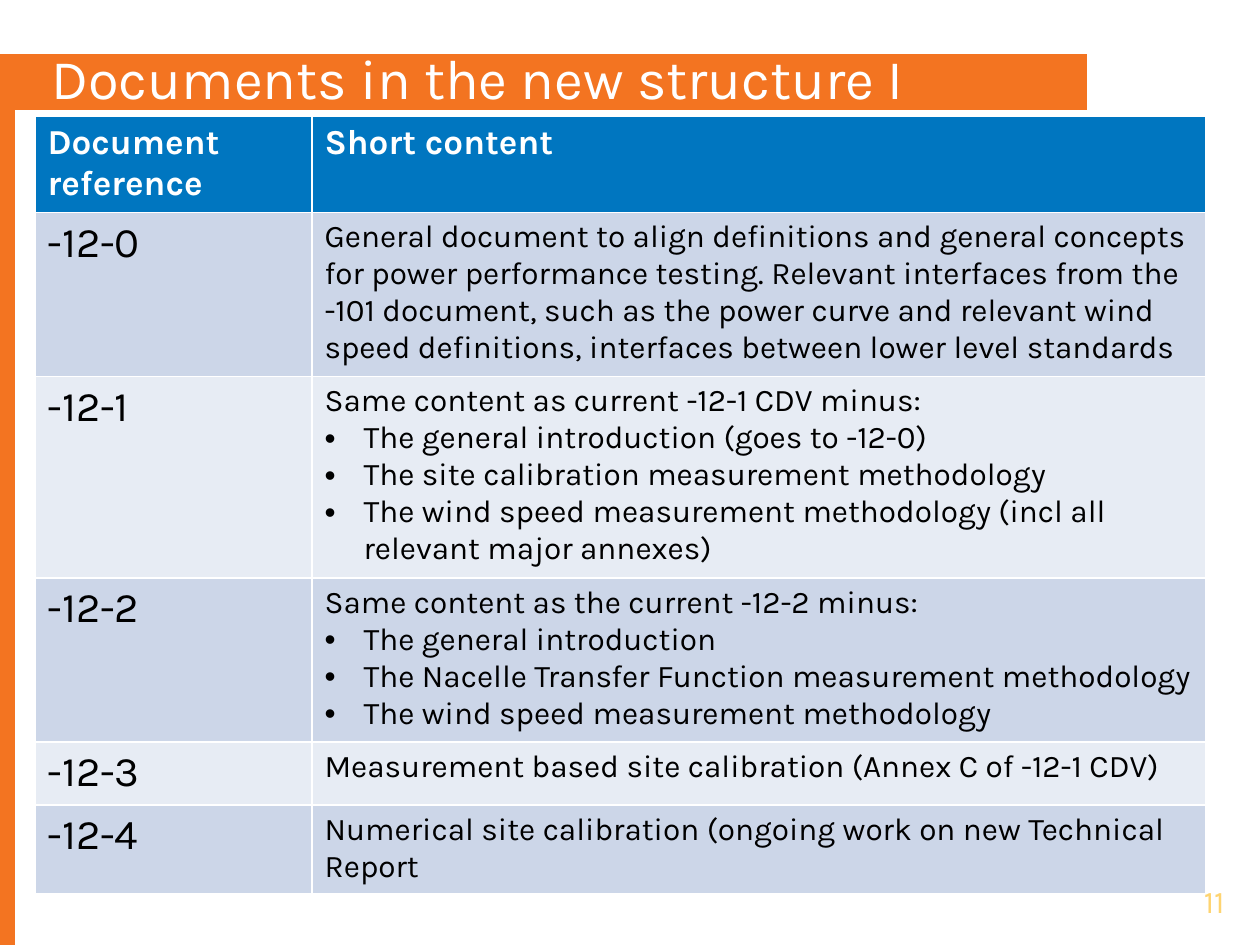
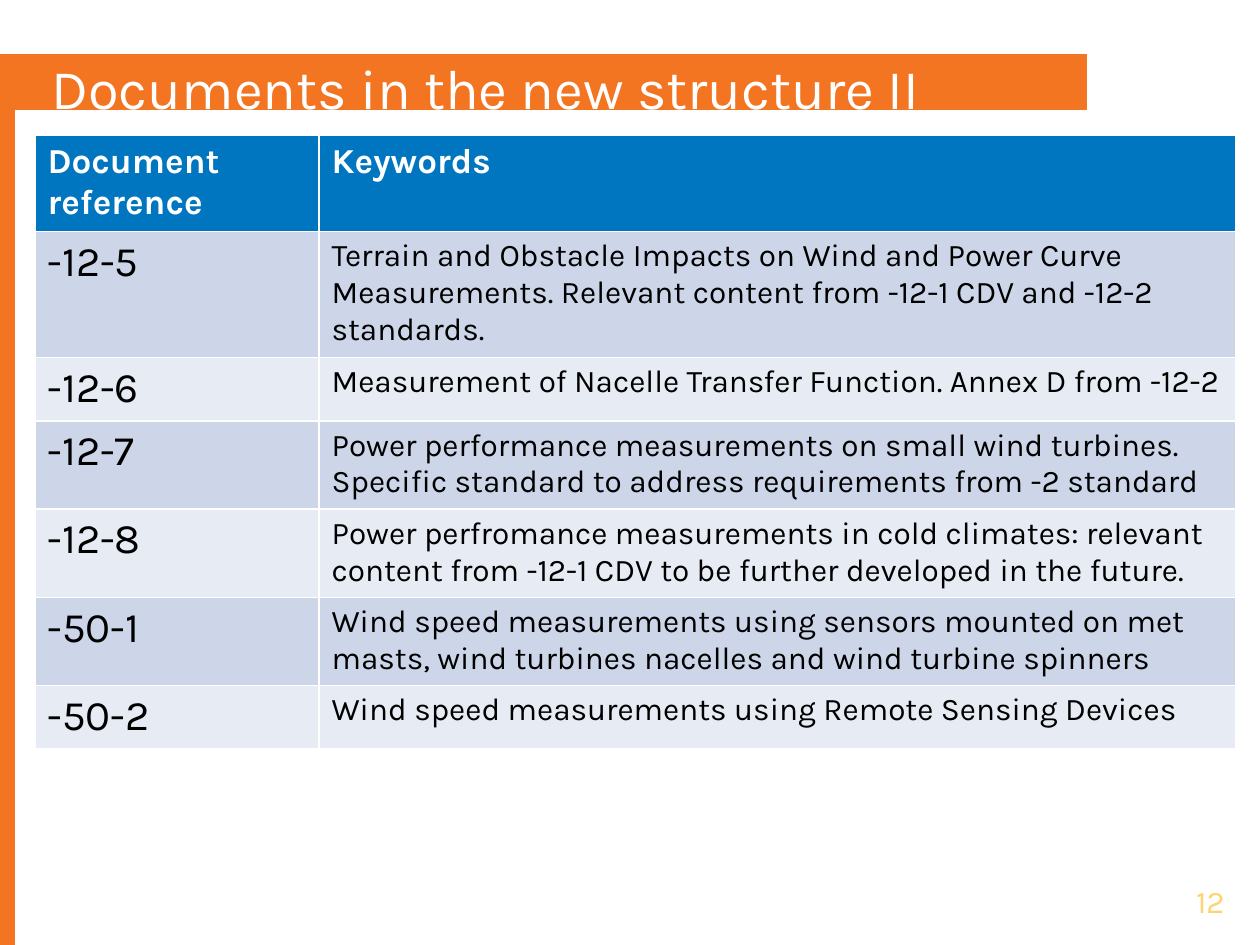
from pptx import Presentation
from pptx.dml.color import RGBColor as RGB
from pptx.enum.shapes import MSO_SHAPE as Shape
from pptx.enum.text import MSO_ANCHOR as Anchor, PP_ALIGN as Align
from pptx.oxml.ns import qn
from lxml.etree import SubElement as Sub

PX = 914400 / 126
FONT = "Karla"
HUES = {"band": "F37421", "head": "0076C0", "odd": "CCD6E8", "even": "E7ECF4",
        "white": "FFFFFF", "black": "000000", "page": "FED471"}
BANDS = [(0, 101, 15, 844), (0, 54, 1087, 56)]
ROW = 52
INDENT = 39

# A string is one paragraph; in a list, every item after the first is a bullet.
DECK = [
    {"title": "Documents in the new structure I", "page": "11",
     "box": (39, 59, 1047, 37), "spot": (35, 116), "cols": (277, 894), "tall": 777,
     "rows": [
         ("Document reference", "Short content"),
         ("-12-0", "General document to align definitions and general concepts for "
                   "power performance testing. Relevant interfaces from the -101 "
                   "document, such as the power curve and relevant wind speed "
                   "definitions, interfaces between lower level standards"),
         ("-12-1", ["Same content as current -12-1 CDV minus:",
                    "The general introduction (goes to -12-0)",
                    "The site calibration measurement methodology",
                    "The wind speed measurement methodology "
                    "(incl all relevant major annexes)"]),
         ("-12-2", ["Same content as the current -12-2 minus:",
                    "The general introduction",
                    "The Nacelle Transfer Function measurement methodology",
                    "The wind speed measurement methodology"]),
         ("-12-3", "Measurement based site calibration (Annex C of -12-1 CDV)"),
         ("-12-4", "Numerical site calibration (ongoing work on new Technical Report"),
     ]},
    {"title": "Documents in the new structure II", "page": "12",
     "box": (39, 59, 1047, 57), "spot": (35, 135), "cols": (284, 917), "tall": 614,
     "rows": [
         ("Document reference", "Keywords"),
         ("-12-5", "Terrain and Obstacle Impacts on Wind and Power Curve "
                   "Measurements. Relevant content from -12-1 CDV and -12-2 standards."),
         ("-12-6", "Measurement of Nacelle Transfer Function. Annex D from -12-2"),
         ("-12-7", "Power performance measurements on small wind turbines. Specific "
                   "standard to address requirements from -2 standard"),
         ("-12-8", "Power perfromance measurements in cold climates: relevant content "
                   "from -12-1 CDV to be further developed in the future."),
         ("-50-1", "Wind speed measurements using sensors mounted on met masts, wind "
                   "turbines nacelles and wind turbine spinners"),
         ("-50-2", "Wind speed measurements using Remote Sensing Devices"),
     ]},
]


def emu(*sizes):
    return [round(size * PX) for size in sizes]


def write(frame, text, size, hue, bold=False):
    """Fill a text frame with a string, or with a lead line and its bullets."""
    lines = [text] if isinstance(text, str) else text
    frame.word_wrap = True
    frame.text = "\n".join(lines)
    for n, para in enumerate(frame.paragraphs):
        font = para.runs[0].font
        font.name, font.size, font.bold = FONT, round(size * 12700), bold
        font.color.rgb = RGB.from_string(HUES[hue])
        if n:
            props = para._p.get_or_add_pPr()
            step = emu(INDENT)[0]
            props.set("marL", str(step))
            props.set("indent", str(-step))
            Sub(props, qn("a:buFont")).set("typeface", "Arial")
            Sub(props, qn("a:buChar")).set("char", "•")


deck = Presentation()
deck.slide_width, deck.slide_height = emu(1260, 945)

for data in DECK:
    slide = deck.slides.add_slide(deck.slide_layouts[6])
    shapes = slide.shapes

    for place in BANDS:
        band = shapes.add_shape(Shape.RECTANGLE, *emu(*place))
        band.shadow.inherit = False
        band.fill.solid()
        band.fill.fore_color.rgb = RGB.from_string(HUES["band"])
        band.line.fill.background()

    title = shapes.add_textbox(*emu(*data["box"])).text_frame
    write(title, data["title"], 32, "white")
    title.vertical_anchor = Anchor.MIDDLE

    page = shapes.add_textbox(*emu(944, 876, 293, 50)).text_frame
    write(page, data["page"], 18, "page")
    page.paragraphs[0].alignment = Align.RIGHT

    rows, cols = data["rows"], data["cols"]
    frame = shapes.add_table(len(rows), len(cols),
                             *emu(*data["spot"], sum(cols), ROW * len(rows)))
    table = frame.table
    for col, wide in zip(table.columns, emu(*cols)):
        col.width = wide
    for r, row in enumerate(rows):
        fill = "odd" if r % 2 else "even" if r else "head"
        for c, text in enumerate(row):
            cell = table.cell(r, c)
            cell.fill.solid()
            cell.fill.fore_color.rgb = RGB.from_string(HUES[fill])
            if r == 0:
                write(cell.text_frame, text, 20, "white", True)
            else:
                write(cell.text_frame, text, 18 if c else 24, "black")
    # Rows grow with their text, so the frame is taller than their least heights.
    frame.height = emu(data["tall"])[0]

deck.save("out.pptx")
